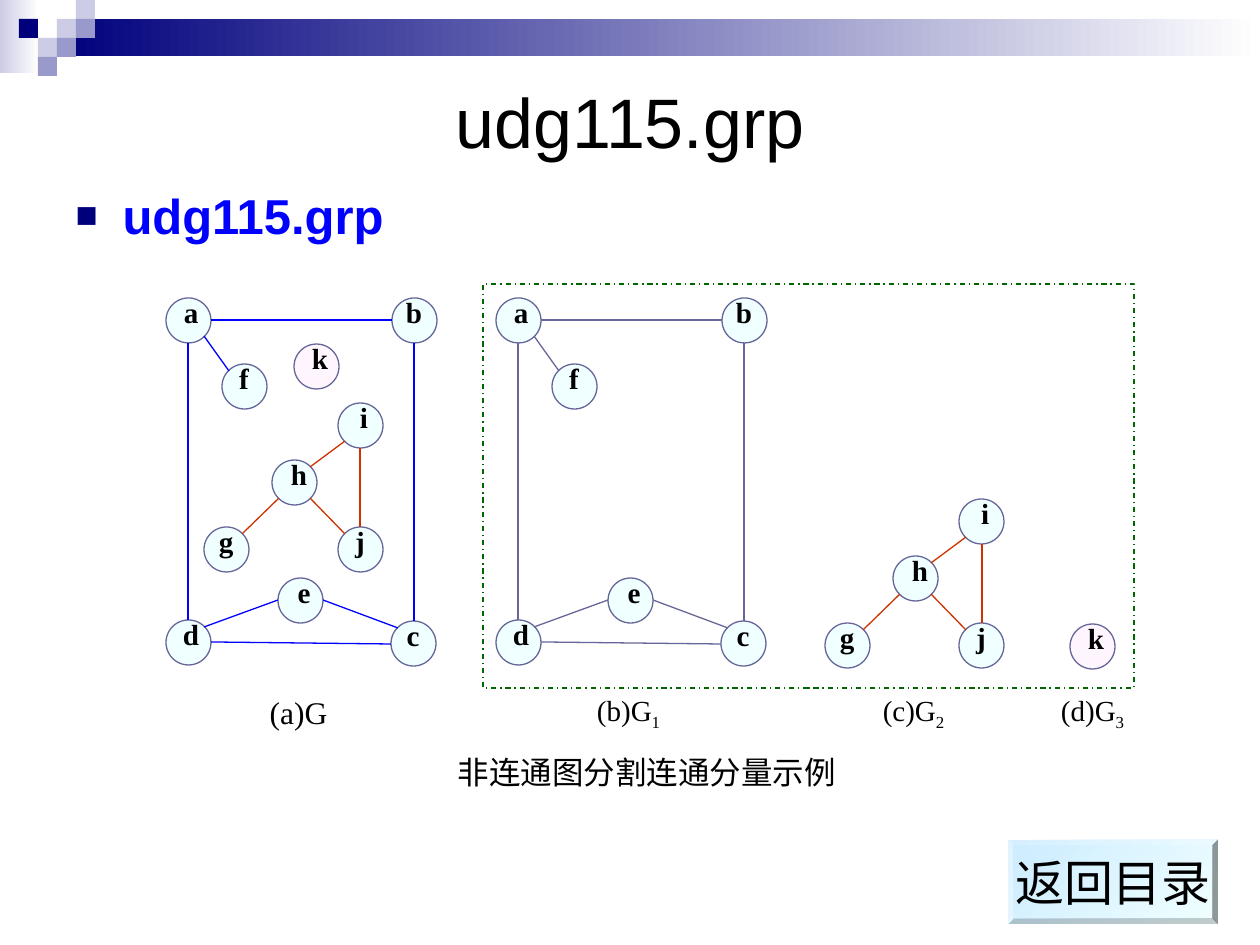
from math import sqrt
from lxml.etree import SubElement
from pptx import Presentation
from pptx.dml.color import RGBColor
from pptx.enum.dml import MSO_LINE_DASH_STYLE as Dash
from pptx.enum.shapes import MSO_CONNECTOR as Connector, MSO_SHAPE as Shape
from pptx.enum.text import MSO_ANCHOR as Anchor, PP_ALIGN as Align
from pptx.oxml.ns import qn
from pptx.util import Emu, Pt

SCALE = 914400 / 126
NODE = 45
CENTER = {"alignment": Align.CENTER}
TIGHT = {"alignment": Align.CENTER, "line_spacing": 0.9}


def px(*lengths):
    return [Emu(round(length * SCALE)) for length in lengths]


def color(value):
    return RGBColor.from_string(value)


def assign(target, values):
    for name, value in values.items():
        setattr(target, name, value)


class SlideBuilder:
    serif = "Times New Roman"
    sans = "Arial"
    navy, pale, lilac, slate = "00007D", "CCCCE6", "9999CC", "666699"
    aqua, pink, blue, red = "F0FFFF", "FFF5FF", "0000FF", "CC3300"
    black, white, green, sky = "000000", "FFFFFF", "006600", "CCECFF"

    def __init__(self, slide):
        self.slide = slide

    def fill_text(self, frame, text, size, layout, font=serif, ink=black, bold=False, subscript=""):
        paragraph = frame.paragraphs[0]
        assign(paragraph, layout)
        for content in filter(None, (text, subscript)):
            run = paragraph.add_run()
            run.text = content
            assign(run.font, {"name": font, "size": Pt(size), "bold": bold})
            run.font.color.rgb = color(ink)
        if subscript:
            run.font._element.set("baseline", "-25000")
        return paragraph

    def placeholder(self, index, box, text, size, layout, **style):
        shape = self.slide.placeholders[index]
        assign(shape, dict(zip(("left", "top", "width", "height"), px(*box))))
        return self.fill_text(shape.text_frame, text, size, layout, font=self.sans, **style)

    def bullet(self, paragraph, indent):
        properties = paragraph._p.get_or_add_pPr()
        distance = px(indent)[0]
        properties.set("marL", str(distance))
        properties.set("indent", str(-distance))
        tint = SubElement(properties, qn("a:buClr"))
        SubElement(tint, qn("a:srgbClr"), val=self.navy)
        SubElement(properties, qn("a:buSzPct"), val="75000")
        SubElement(properties, qn("a:buFont"), typeface=self.sans)
        SubElement(properties, qn("a:buChar"), char="■")

    def shape(self, kind, box, fill=None, line=None, dash=None, angle=0):
        shape = self.slide.shapes.add_shape(kind, *px(*box))
        shape.shadow.inherit = False
        if fill is None:
            shape.fill.background()
        elif isinstance(fill, tuple):
            shape.fill.gradient()
            shape.fill.gradient_angle = angle
            for stop, value in zip(shape.fill.gradient_stops, fill):
                stop.color.rgb = color(value)
        else:
            shape.fill.solid()
            shape.fill.fore_color.rgb = color(fill)
        if line is None:
            shape.line.fill.background()
        else:
            shape.line.color.rgb = color(line)
            assign(shape.line, {"width": Pt(0.75), "dash_style": dash})
        return shape

    def text(self, box, text, size, layout, margins=(12, 6), **style):
        frame = self.slide.shapes.add_textbox(*px(*box)).text_frame
        side, end = px(*margins)
        assign(frame, {"word_wrap": True, "margin_left": side, "margin_right": side,
                       "margin_top": end, "margin_bottom": end})
        self.fill_text(frame, text, size, layout, **style)

    def edge(self, start, finish, ink):
        connector = self.slide.shapes.add_connector(Connector.STRAIGHT, *px(*start, *finish))
        connector.line.color.rgb = color(ink)
        connector.line.width = Pt(0.75)
        SubElement(connector._element.spPr, qn("a:effectLst"))

    def node(self, name, left, top, shift, fill):
        self.shape(Shape.OVAL, (left, top, NODE, NODE), fill, self.slate)
        self.text((left + 7 + shift, top, 30, 37), name, 16.6, TIGHT, (0, 0), bold=True)

    def graph(self, nodes, edges, offset, ink=None, fill=aqua):
        across, down = offset
        for name, (left, top, shift) in nodes.items():
            self.node(name, left + across, top + down, shift, fill)

        def rim(name, direction):
            reach = NODE / 2 / sqrt(sum(step * step for step in direction))
            left, top, _ = nodes[name]
            return (round(left + across + NODE / 2 + reach * direction[0]),
                    round(top + down + NODE / 2 + reach * direction[1]))

        for first, leaving, second, entering in edges:
            self.edge(rim(first, leaving), rim(second, entering), ink)


def main():
    presentation = Presentation()
    presentation.slide_width, presentation.slide_height = px(1260, 945)
    builder = SlideBuilder(presentation.slides.add_slide(presentation.slide_layouts[1]))

    builder.shape(Shape.RECTANGLE, (0, 0, 39, 73), (builder.pale, builder.white))
    builder.shape(Shape.RECTANGLE, (57, 19, 1203, 37), (builder.navy, builder.white))
    for column, row, fill in ((3, 1, builder.pale), (4, 0, builder.pale), (4, 1, builder.lilac),
                              (2, 2, builder.pale), (1, 1, builder.navy),
                              (3, 2, builder.lilac), (2, 3, builder.lilac)):
        builder.shape(Shape.RECTANGLE, (column * 19, row * 19, 19, 19), fill)

    builder.placeholder(0, (63, 63, 1134, 116), "udg115.grp", 40, CENTER)
    item = builder.placeholder(1, (63, 179, 1134, 672), "udg115.grp", 28,
                               {"space_before": Pt(7)}, ink=builder.blue, bold=True)
    builder.bullet(item, 47)

    up, down, left, right = (0, -1), (0, 1), (-1, 0), (1, 0)
    up_left, up_right, down_left, down_right = (-1, -1), (1, -1), (-1, 1), (1, 1)
    frame_nodes = {"a": (166, 298, 3), "b": (392, 298, 0), "c": (391, 621, 0),
                   "d": (166, 620, 3), "e": (278, 578, 4), "f": (222, 364, 0)}
    frame_edges = [("a", right, "b", left), ("b", down, "c", up), ("a", down_right, "f", up_left),
                   ("a", down, "d", up), ("d", right, "c", left), ("d", up_right, "e", left),
                   ("e", right, "c", up_left)]
    inner_nodes = {"i": (338, 403, 4), "g": (204, 527, 0), "h": (272, 460, 5), "j": (338, 527, 0)}
    inner_edges = [("i", down, "j", up), ("g", up_right, "h", down_left),
                   ("h", up_right, "i", down_left), ("j", up_left, "h", down_right)]
    lone_node = {"k": (294, 344, 4)}

    for offset, ink in (((0, 0), builder.blue), ((330, 0), builder.slate)):
        builder.graph(frame_nodes, frame_edges, offset, ink)
    for offset in ((0, 0), (621, 96)):
        builder.graph(inner_nodes, inner_edges, offset, builder.red)
    for offset in ((0, 0), (776, 280)):
        builder.graph(lone_node, [], offset, fill=builder.pink)

    builder.shape(Shape.RECTANGLE, (483, 284, 651, 404), line=builder.green, dash=Dash.DASH_DOT)
    builder.text((246, 687, 105, 55), "(a)G", 18, CENTER)
    for position, text, subscript in ((576, "(b)G", "1"), (861, "(c)G", "2"), (1040, "(d)G", "3")):
        builder.text((position, 687, 105, 55), text, 16.6, TIGHT, subscript=subscript)
    builder.text((415, 747, 464, 55), "非连通图分割连通分量示例", 18, CENTER)

    button = builder.shape(Shape.BEVEL, (1008, 840, 210, 84), (builder.sky, builder.aqua), angle=315)
    button.adjustments[0] = 0.06
    assign(button.text_frame, {"word_wrap": False, "vertical_anchor": Anchor.MIDDLE})
    builder.fill_text(button.text_frame, "返回目录", 28, CENTER, font=builder.sans)

    presentation.save("out.pptx")


if __name__ == "__main__":
    main()
